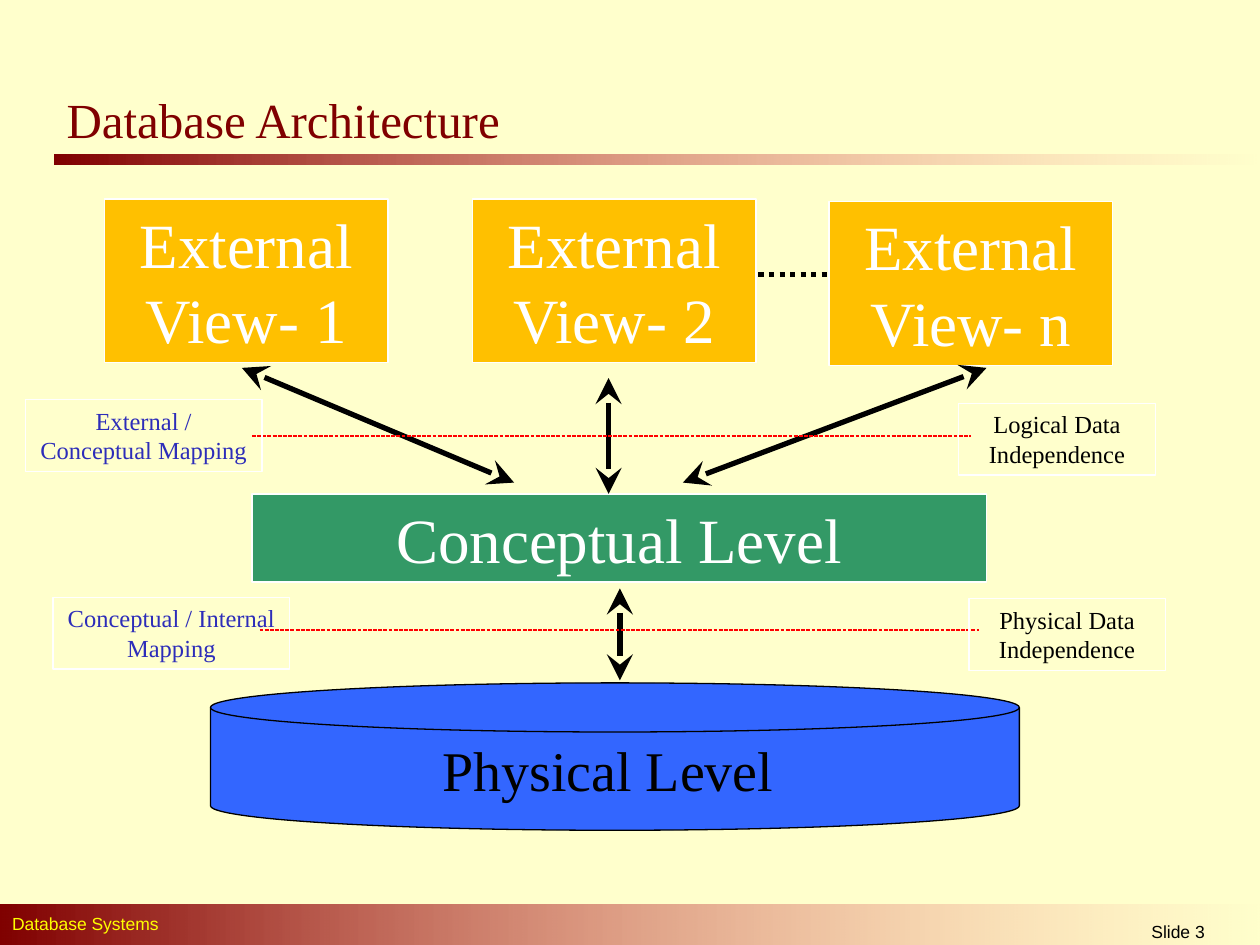
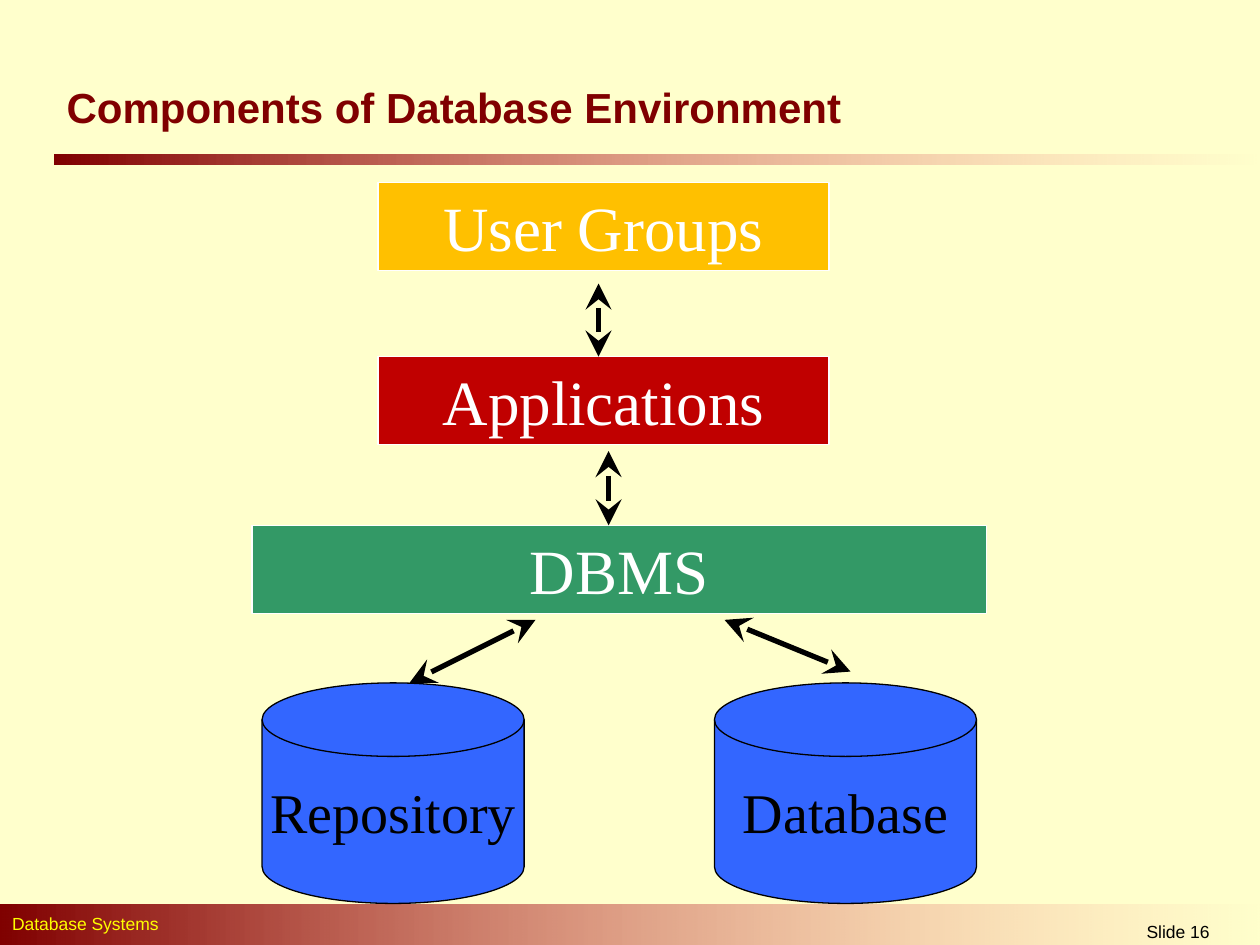
from lxml import etree
from pptx import Presentation
from pptx.dml.color import RGBColor
from pptx.enum.dml import MSO_LINE
from pptx.enum.shapes import MSO_CONNECTOR, MSO_SHAPE
from pptx.enum.text import MSO_ANCHOR, PP_ALIGN
from pptx.oxml.ns import qn
from pptx.util import Inches, Pt

RECT, DISK = MSO_SHAPE.RECTANGLE, MSO_SHAPE.FLOWCHART_MAGNETIC_DISK
STRAIGHT = MSO_CONNECTOR.STRAIGHT
DOTTED, DASHED = MSO_LINE.ROUND_DOT, MSO_LINE.SQUARE_DOT
LEFT, CENTER = PP_ALIGN.LEFT, PP_ALIGN.CENTER
TOP, MIDDLE = MSO_ANCHOR.TOP, MSO_ANCHOR.MIDDLE

COLORS = {
    "page": "FFFFCC", "maroon": "800000", "pink": "FF8585",
    "footer": "FFFF00", "black": "000000", "white": "FFFFFF",
    "user": "FFC000", "application": "C00000", "core": "339966",
    "storage": "3366FF", "mapping": "2D2DB9", "guide": "FF0000",
}
SERIF, SANS = "Times New Roman", "Arial"
FOOTER_FONT = {"name": SANS, "size": Pt(10)}
LEVEL_FONT = {"name": SERIF, "size": Pt(36)}
STORAGE_FONT = {"name": SERIF, "size": Pt(32)}
NOTE_FONT = {"name": SERIF, "size": Pt(14)}


def rgb(color):
    return RGBColor.from_string(COLORS[color])


def set_text(s, text, font, color, align=CENTER, anchor=TOP, wrap=True):
    tf = s.text_frame
    frame_format = {"word_wrap": wrap, "vertical_anchor": anchor}
    for name, value in frame_format.items():
        setattr(tf, name, value)
    p = tf.paragraphs[0]
    p.alignment = align
    r = p.add_run()
    r.text = text
    for name, value in font.items():
        setattr(r.font, name, value)
    r.font.color.rgb = rgb(color)


def add_text(slide, box, text, font, color, align=LEFT):
    s = slide.shapes.add_textbox(*map(Inches, box))
    set_text(s, text, font, color, align)


def add_band(slide, box):
    s = slide.shapes.add_shape(RECT, *map(Inches, box))
    s.shadow.inherit = False
    s.line.fill.background()
    s.fill.gradient()
    s.fill.gradient_angle = 0
    for stop, color in zip(s.fill.gradient_stops, ("maroon", "pink")):
        stop.color.rgb = rgb(color)
    last_color = list(s._element.spPr.iter(qn("a:srgbClr")))[-1]
    etree.SubElement(last_color, qn("a:alpha"), val="0")


def add_box(slide, preset, box, line_color, fill_color=None):
    s = slide.shapes.add_shape(preset, *map(Inches, box))
    s.shadow.inherit = False
    if fill_color:
        s.fill.solid()
        s.fill.fore_color.rgb = rgb(fill_color)
    else:
        s.fill.background()
    s.line.color.rgb = rgb(line_color)
    s.line.width = Pt(0.75)
    return s


def add_level(slide, box, text, fill_color):
    s = add_box(slide, RECT, box, "white", fill_color)
    set_text(s, text, LEVEL_FONT, "white")


def add_storage(slide, box, text):
    s = add_box(slide, DISK, box, "black", "storage")
    set_text(s, text, STORAGE_FONT, "black", anchor=MIDDLE, wrap=False)


def add_note(slide, box, text, color):
    s = add_box(slide, RECT, box, "white")
    set_text(s, text, NOTE_FONT, color)


def add_line(slide, ends, color="black", width=3, dash=None):
    s = slide.shapes.add_connector(STRAIGHT, *map(Inches, ends))
    s.line.color.rgb = rgb(color)
    s.line.width = Pt(width)
    if dash:
        s.line.dash_style = dash
    etree.SubElement(s._element.spPr, qn("a:effectLst"))
    return s


def add_arrow(slide, *ends):
    ln = add_line(slide, ends).line._get_or_add_ln()
    for end in ("a:headEnd", "a:tailEnd"):
        etree.SubElement(ln, qn(end), type="stealth", w="lg", len="lg")


def add_slide(prs, number, title, title_box, title_font):
    slide = prs.slides.add_slide(prs.slide_layouts[6])
    slide.background.fill.solid()
    slide.background.fill.fore_color.rgb = rgb("page")
    add_band(slide, (0.43, 1.23, 9.57, 0.08))
    add_band(slide, (0, 7.18, 10.03, 0.35))
    add_text(slide, (-0.04, 7.2, 6.46, 0.27), " Database Systems", FOOTER_FONT, "footer")
    add_text(slide, (8.31, 7.26, 2.08, 0.24), f"Slide {number}", FOOTER_FONT, "black", CENTER)
    add_text(slide, title_box, title, title_font, "maroon")
    return slide


def build_architecture(prs):
    slide = add_slide(prs, 3, "Database Architecture", (0.43, 0.66, 4.75, 0.57),
                      {"name": SERIF, "size": Pt(28)})
    for view, left, top in (("1", 0.83, 1.58), ("2", 3.75, 1.58), ("n", 6.58, 1.6)):
        add_level(slide, (left, top, 2.25, 1.3), f"External View- {view}", "user")
    add_storage(slide, (1.67, 5.42, 6.42, 1.17), "Physical Level ")
    add_level(slide, (2, 3.92, 5.83, 0.7), "Conceptual Level", "core")

    add_arrow(slide, 4.92, 4.67, 4.92, 5.4)
    add_arrow(slide, 1.92, 2.92, 4.08, 3.83)
    add_arrow(slide, 4.83, 3, 4.83, 3.92)
    add_arrow(slide, 7.83, 2.92, 5.42, 3.83)
    add_line(slide, (6.02, 2.18, 6.57, 2.18), dash=DOTTED)
    for left, y in ((2, 3.46), (2.06, 5)):
        add_line(slide, (left, y, left + 5.71, y), "guide", 0.75, DASHED)

    for kind, left, top in (("Logical", 7.61, 3.2), ("Physical", 7.69, 4.75)):
        add_note(slide, (left, top, 1.56, 0.57), f"{kind} Data Independence", "black")
    for levels, left, top in (("External / Conceptual", 0.2, 3.17),
                              ("Conceptual / Internal", 0.42, 4.74)):
        add_note(slide, (left, top, 1.88, 0.57), f"{levels} Mapping", "mapping")


def build_components(prs):
    slide = add_slide(prs, 16, "Components of Database Environment", (0.43, 0.6, 6.85, 0.5),
                      {"name": SANS, "size": Pt(24), "bold": True})
    for text, left, top, width, color in (
        ("User Groups", 3, 1.45, 3.58, "user"),
        ("Applications", 3, 2.83, 3.58, "application"),
        ("DBMS", 2, 4.17, 5.83, "core"),
    ):
        add_level(slide, (left, top, width, 0.7), text, color)
    for text, left in (("Repository", 2.08), ("Database", 5.67)):
        add_storage(slide, (left, 5.42, 2.08, 1.75), text)

    add_arrow(slide, 4.75, 2.25, 4.75, 2.83)
    add_arrow(slide, 4.83, 3.58, 4.83, 4.17)
    add_arrow(slide, 4.25, 4.92, 3.25, 5.42)
    add_arrow(slide, 5.75, 4.92, 6.75, 5.33)


def main():
    prs = Presentation()
    prs.slide_width, prs.slide_height = Inches(10), Inches(7.5)
    build_architecture(prs)
    build_components(prs)
    prs.save("out.pptx")


if __name__ == "__main__":
    main()
